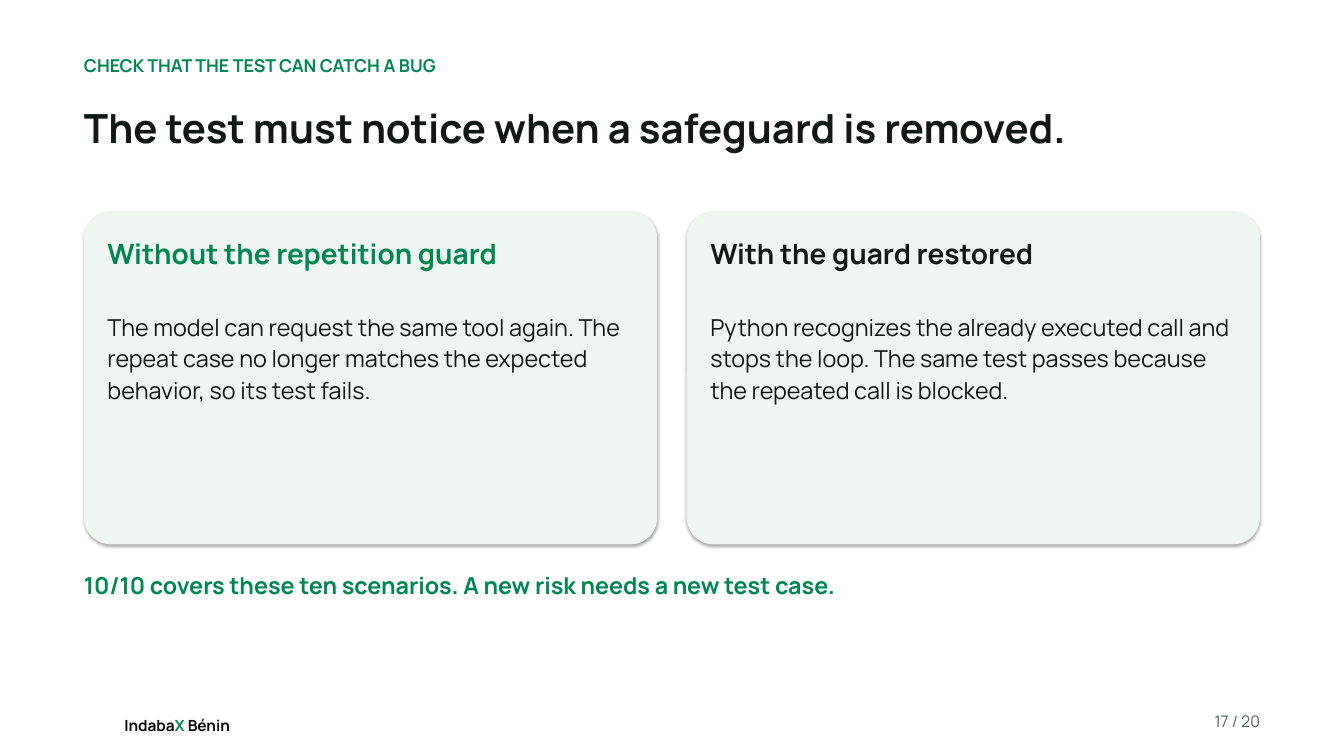
from pptx import Presentation
from pptx.dml.color import RGBColor
from pptx.enum.shapes import MSO_SHAPE
from pptx.enum.text import MSO_AUTO_SIZE, PP_ALIGN
from pptx.util import Inches, Pt

ROUNDED = MSO_SHAPE.ROUNDED_RECTANGLE
GROW = MSO_AUTO_SIZE.SHAPE_TO_FIT_TEXT
LEFT, RIGHT = PP_ALIGN.LEFT, PP_ALIGN.RIGHT
FONT = "Manrope"
GREEN, INK, GREY, BLACK = "008751", "111713", "53645A", "0A0A0A"
MINT, WHITE = "EFF6F1", "FFFFFF"


def rgb(value):
    return RGBColor.from_string(value)


def add_text(x, y, w, h, parts, size, bold=False, align=LEFT):
    box = s.shapes.add_textbox(Inches(x), Inches(y), Inches(w), Inches(h))
    tf = box.text_frame
    tf.margin_left = tf.margin_right = tf.margin_top = tf.margin_bottom = 0
    tf.word_wrap = True
    tf.auto_size = GROW
    p = tf.paragraphs[0]
    p.alignment = align
    p.line_spacing = 1.13
    p.space_after = Pt(7)
    for text, color in parts:
        r = p.add_run()
        r.text = text
        r.font.name = FONT
        r.font.size = Pt(size)
        r.font.bold = bold
        r.font.color.rgb = rgb(color)
    return p


prs = Presentation()
prs.slide_width = Inches(20)
prs.slide_height = Inches(11.25)
s = prs.slides.add_slide(prs.slide_layouts[6])
s.background.fill.solid()
s.background.fill.fore_color.rgb = rgb(WHITE)

brand = [("Indaba", BLACK), ("X", GREEN), (" Bénin", BLACK)]
p = add_text(1.85, 10.61, 1.73, 0.28, brand, 16.5, True)
p.line_spacing = Pt(23.1)
p.space_after = Pt(0)
add_text(17.35, 10.55, 1.4, 0.4, [("17 / 20", GREY)], 17, align=RIGHT)

margin, content_w = 1.25, 17.5
add_text(margin, 0.78, content_w, 0.4,
         [("CHECK THAT THE TEST CAN CATCH A BUG", GREEN)], 19, True)
add_text(margin, 1.45, content_w, 1.5,
         [("The test must notice when a safeguard is removed.", INK)], 43, True)

cards = [
    ("Without the repetition guard", GREEN,
     "The model can request the same tool again. The repeat case no longer "
     "matches the expected behavior, so its test fails."),
    ("With the guard restored", INK,
     "Python recognizes the already executed call and stops the loop. The same "
     "test passes because the repeated call is blocked."),
]
card_w, gap, pad = 8.53, 0.44, 0.35
for i, (heading, color, body) in enumerate(cards):
    x = margin + i * (card_w + gap)
    sp = s.shapes.add_shape(ROUNDED, Inches(x), Inches(3.15), Inches(card_w), Inches(4.95))
    sp.adjustments[0] = 0.08
    sp.fill.solid()
    sp.fill.fore_color.rgb = rgb(MINT)
    sp.line.fill.background()
    text_w = card_w - 2 * pad
    add_text(x + pad, 3.45, text_w, 1, [(heading, color)], 30, True)
    add_text(x + pad, 4.6, text_w, 3.3, [(body, INK)], 25)

add_text(margin, 8.45, content_w, 1,
         [("10/10 covers these ten scenarios. A new risk needs a new test case.", GREEN)],
         25, True)

prs.save("out.pptx")
